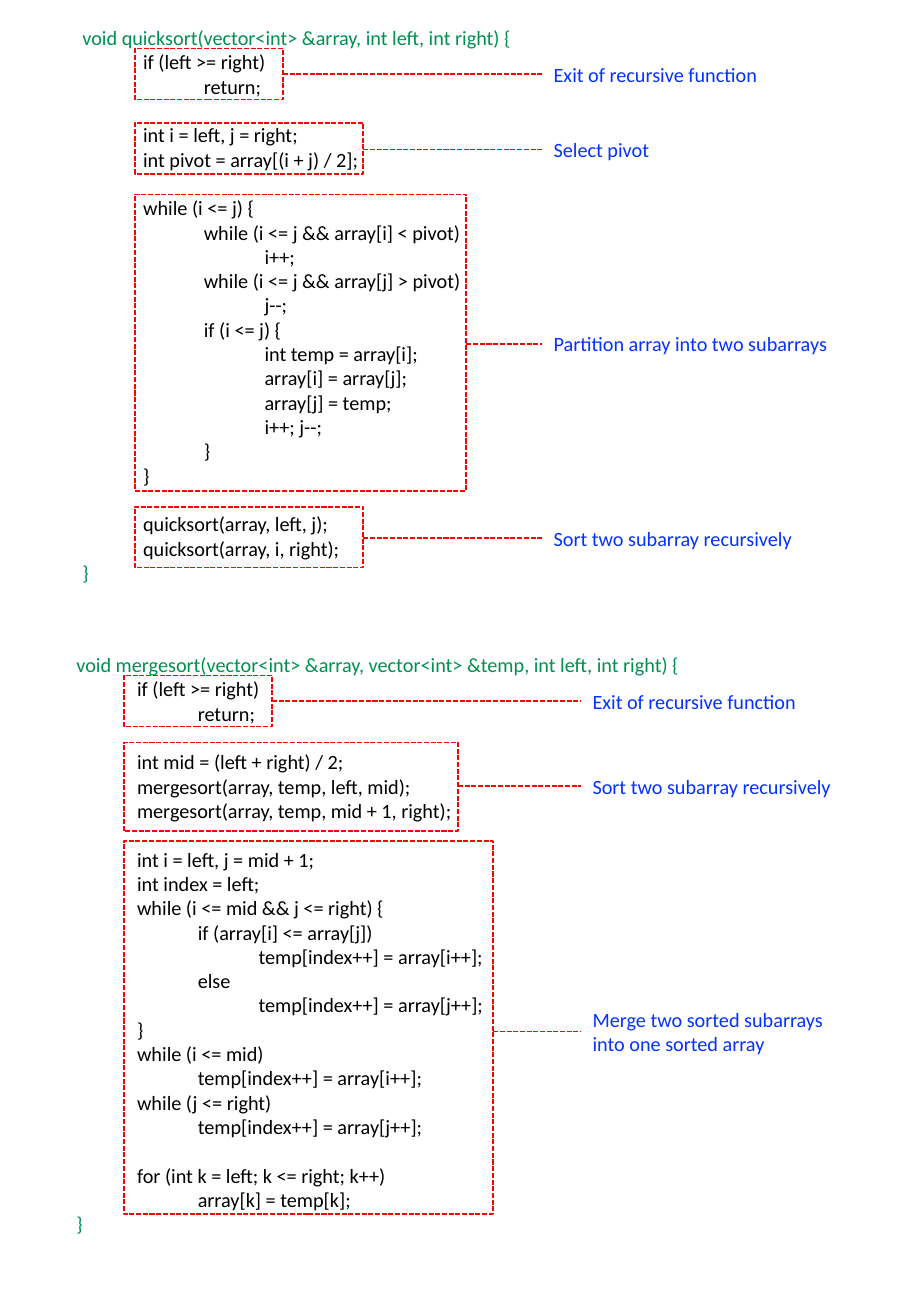
from pptx import Presentation
from pptx.dml.color import RGBColor
from pptx.enum.dml import MSO_LINE
from pptx.enum.shapes import MSO_CONNECTOR, MSO_SHAPE
from pptx.enum.text import MSO_AUTO_SIZE
from pptx.oxml.ns import qn
from pptx.util import Inches, Pt
from lxml import etree

DASH = MSO_LINE.SQUARE_DOT
RECTANGLE = MSO_SHAPE.RECTANGLE
STRAIGHT = MSO_CONNECTOR.STRAIGHT
GROW = MSO_AUTO_SIZE.SHAPE_TO_FIT_TEXT

GREEN, BLACK, BLUE, RED = "009051", "000000", "0432FF", "FF0000"
FONT = {"name": "Calibri", "size": Pt(12)}
LINE = {"width": Pt(1), "dash_style": DASH}
LINE_HEIGHT = Pt(14.4)

QUICKSORT = """\
void quicksort(vector<int> &array, int left, int right) {
\tif (left >= right)
\t\treturn;

\tint i = left, j = right;
\tint pivot = array[(i + j) / 2];

\twhile (i <= j) {
\t\twhile (i <= j && array[i] < pivot)
\t\t\ti++;
\t\twhile (i <= j && array[j] > pivot)
\t\t\tj--;
\t\tif (i <= j) {
\t\t\tint temp = array[i];
\t\t\tarray[i] = array[j];
\t\t\tarray[j] = temp;
\t\t\ti++; j--;
\t\t}
\t}

\tquicksort(array, left, j);
\tquicksort(array, i, right);
}"""

MERGESORT = """\
void mergesort(vector<int> &array, vector<int> &temp, int left, int right) {
\tif (left >= right)
\t\treturn;

\tint mid = (left + right) / 2;
\tmergesort(array, temp, left, mid);
\tmergesort(array, temp, mid + 1, right);

\tint i = left, j = mid + 1;
\tint index = left;
\twhile (i <= mid && j <= right) {
\t\tif (array[i] <= array[j])
\t\t\ttemp[index++] = array[i++];
\t\telse
\t\t\ttemp[index++] = array[j++];
\t}
\twhile (i <= mid)
\t\ttemp[index++] = array[i++];
\twhile (j <= right)
\t\ttemp[index++] = array[j++];

\tfor (int k = left; k <= right; k++)
\t\tarray[k] = temp[k];
}"""

# top, width and height of a frame, then height of its label's centre
QUICKSORT_STEPS = [
    (0.4, 1.22, 0.42, 0.61, "Exit of recursive function"),
    (1.01, 1.88, 0.42, 1.23, "Select pivot"),
    (1.6, 2.73, 2.44, 2.83, "Partition array into two subarrays"),
    (4.17, 1.88, 0.5, 4.43, "Sort two subarray recursively"),
]
MERGESORT_STEPS = [
    (5.56, 1.22, 0.42, 5.77, "Exit of recursive function"),
    (6.11, 2.75, 0.73, 6.47, "Sort two subarray recursively"),
    (6.92, 3.04, 3.07, 8.49, "Merge two sorted subarrays\vinto one sorted array"),
]


def color(value):
    return RGBColor.from_string(value)


def set_all(target, values):
    for name, value in values.items():
        setattr(target, name, value)


def style_para(para, text, ink):
    para.text = text
    for span in para.runs:
        set_all(span.font, FONT)
        span.font.color.rgb = color(ink)


def style_line(line):
    line.color.rgb = color(RED)
    set_all(line, LINE)


def add_box(group, left, top, width, height):
    box = group.shapes.add_textbox(*map(Inches, (left, top, width, height)))
    set_all(box.text_frame, {"word_wrap": False, "auto_size": GROW})
    return box.text_frame


def add_code(group, left, top, width, height, code):
    frame = add_box(group, left, top, width, height)
    para, gap = frame.paragraphs[0], False
    for number, row in enumerate(code.splitlines()):
        if not row:
            gap = True
            continue
        if number:
            para = frame.add_paragraph()
        text = row.lstrip("\t")
        para.level = len(row) - len(text)
        style_para(para, text, BLACK if para.level else GREEN)
        if gap:
            para.space_before = LINE_HEIGHT
        gap = False


def add_frame(group, left, top, width, height):
    frame = group.shapes.add_shape(RECTANGLE, *map(Inches, (left, top, width, height)))
    frame.shadow.inherit = False
    frame.fill.background()
    style_line(frame.line)


def add_leader(group, start, end, middle):
    leader = group.shapes.add_connector(
        STRAIGHT, *map(Inches, (start, middle, end, middle)))
    style_line(leader.line)
    etree.SubElement(leader._element.spPr, qn("a:effectLst"))


def add_label(group, left, middle, text):
    height = 0.3 + 0.2 * text.count("\v")
    frame = add_box(group, left, middle - height / 2, 2.46, height)
    style_para(frame.paragraphs[0], text, BLUE)


def add_function(page, code_area, code, frame_left, label_left, steps):
    group = page.shapes.add_group_shape()
    add_code(group, *code_area, code)
    for top, width, height, middle, text in steps:
        add_frame(group, frame_left, top, width, height)
        add_leader(group, frame_left + width, label_left, middle)
        add_label(group, label_left, middle, text)


def main():
    deck = Presentation()
    set_all(deck, {"slide_width": Inches(7.5), "slide_height": Inches(10.83)})
    page = deck.slides.add_slide(deck.slide_layouts[6])
    add_function(page, (0.58, 0.16, 3.77, 4.75), QUICKSORT, 1.11, 4.46, QUICKSORT_STEPS)
    add_function(page, (0.53, 5.32, 5.22, 4.95), MERGESORT, 1.02, 4.78, MERGESORT_STEPS)
    deck.save("out.pptx")


main()
